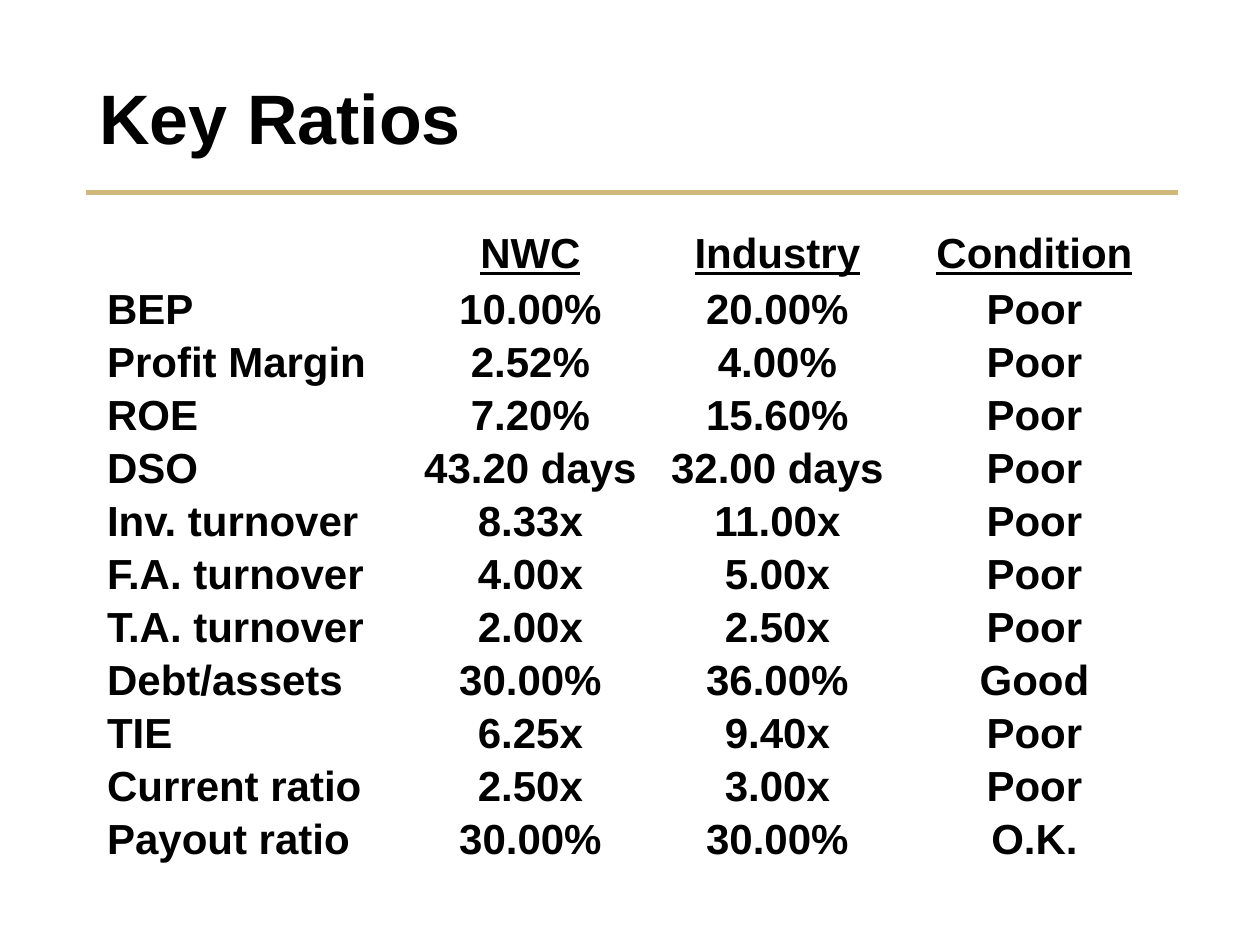
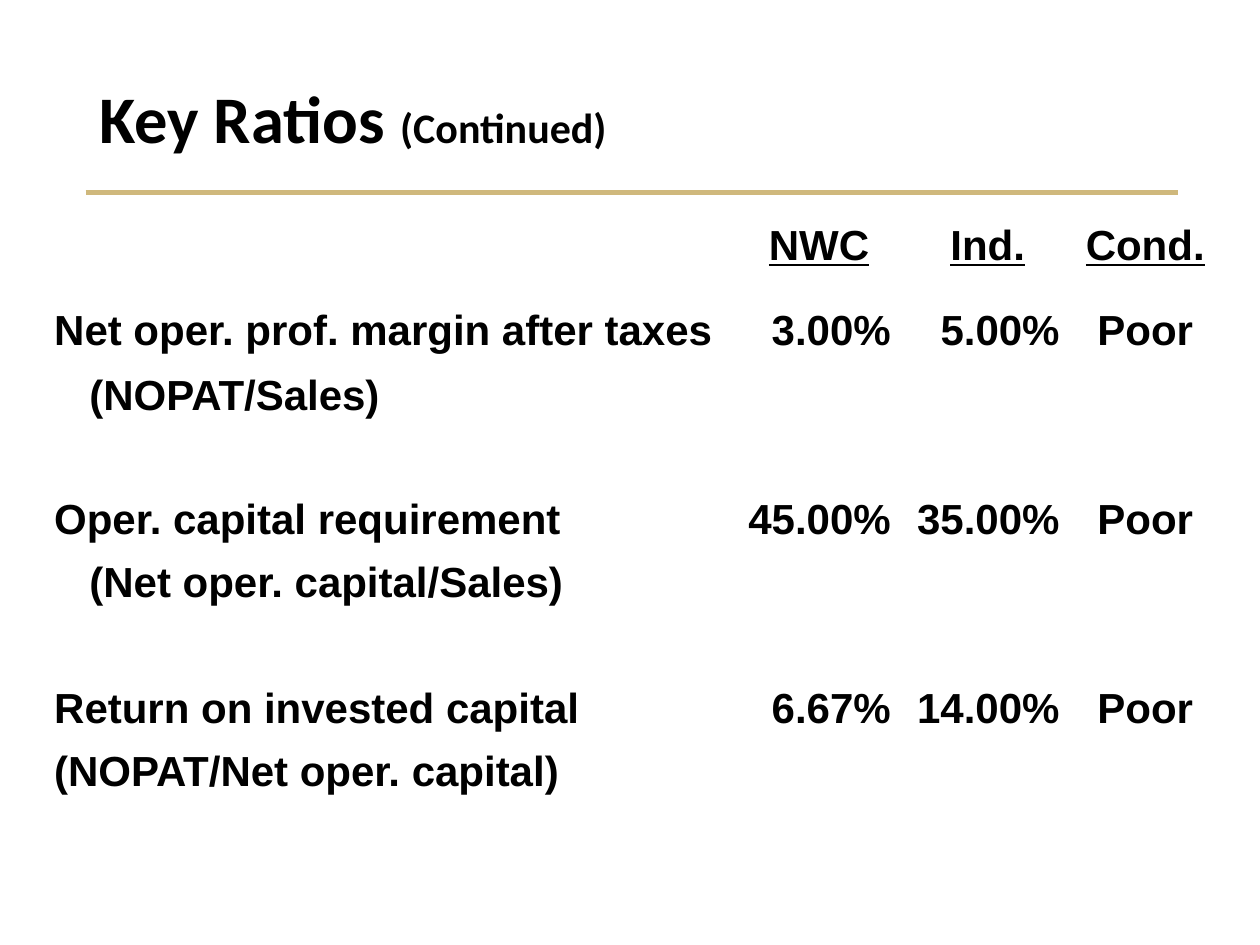
from dataclasses import dataclass

from lxml import etree
from pptx import Presentation
from pptx.dml.color import RGBColor
from pptx.enum.shapes import MSO_CONNECTOR
from pptx.enum.text import MSO_ANCHOR, PP_ALIGN
from pptx.oxml.ns import qn
from pptx.slide import Slide
from pptx.util import Inches, Pt

LEFT, CENTER, RIGHT = PP_ALIGN.LEFT, PP_ALIGN.CENTER, PP_ALIGN.RIGHT
TOP, MIDDLE = MSO_ANCHOR.TOP, MSO_ANCHOR.MIDDLE
STRAIGHT = MSO_CONNECTOR.STRAIGHT


@dataclass(frozen=True)
class Theme:
    text: RGBColor = RGBColor(0x00, 0x00, 0x00)
    rule: RGBColor = RGBColor(0xCF, 0xB8, 0x7C)
    body_font: str = "Arial"
    alt_font: str = "Calibri"
    title: int = 40
    alt_title: int = 38
    body: int = 24
    rule_width: int = 3


THEME = Theme()


@dataclass(frozen=True)
class TitleRun:
    text: str
    size: int
    font: str


@dataclass(frozen=True)
class RatioTable:
    left: float
    top: float
    col_widths: list[float]
    row_heights: list[float]
    rows: list[list[str]]
    aligns: list[PP_ALIGN]
    anchor: MSO_ANCHOR
    header_spacing: float
    body_spacing: float
    indented: tuple[int, ...] = ()


# Slide content
KEY_RATIOS = RatioTable(
    left=0.75, top=1.81,
    col_widths=[2.5, 1.92, 2, 2.08],
    row_heights=[0.47] + [0.42] * 11,
    rows=[
        ["", "NWC", "Industry", "Condition"],
        ["BEP", "10.00%", "20.00%", "Poor"],
        ["Profit Margin", "2.52%", "4.00%", "Poor"],
        ["ROE", "7.20%", "15.60%", "Poor"],
        ["DSO", "43.20 days", "32.00 days", "Poor"],
        ["Inv. turnover", "8.33x", "11.00x", "Poor"],
        ["F.A. turnover", "4.00x", "5.00x", "Poor"],
        ["T.A. turnover", "2.00x", "2.50x", "Poor"],
        ["Debt/assets", "30.00%", "36.00%", "Good"],
        ["TIE", "6.25x", "9.40x", "Poor"],
        ["Current ratio", "2.50x", "3.00x", "Poor"],
        ["Payout ratio", "30.00%", "30.00%", "O.K."],
    ],
    aligns=[LEFT, CENTER, CENTER, CENTER],
    anchor=MIDDLE, header_spacing=0.8, body_spacing=0.8,
)

OPERATING_RATIOS = RatioTable(
    left=0.33, top=1.75,
    col_widths=[5.5, 1.34, 1.34, 1.16],
    row_heights=[0.64, 0.52, 0.98, 0.5, 1, 0.5, 0.52],
    rows=[
        ["", "NWC", "Ind.", "Cond."],
        ["Net oper. prof. margin after taxes", "3.00%", "5.00%", "Poor"],
        ["(NOPAT/Sales)", "", "", ""],
        ["Oper. capital requirement", "45.00%", "35.00%", "Poor"],
        ["(Net oper. capital/Sales)", "", "", ""],
        ["Return on invested capital", "6.67%", "14.00%", "Poor"],
        ["(NOPAT/Net oper. capital)", "", "", ""],
    ],
    aligns=[LEFT, RIGHT, RIGHT, CENTER],
    anchor=TOP, header_spacing=0.9, body_spacing=1.0,
    indented=(2, 4),
)

SLIDES = [
    ([TitleRun("Key Ratios", THEME.title, THEME.body_font)], KEY_RATIOS),
    ([TitleRun("Key Ratios ", THEME.alt_title, THEME.alt_font),
      TitleRun("(Continued)", THEME.body, THEME.alt_font)], OPERATING_RATIOS),
]


def add_run(p, text: str, size: int, font: str, underline: bool = False) -> None:
    r = p.add_run()
    r.text = text
    fmt = {"name": font, "size": Pt(size), "bold": True, "underline": underline}
    for name, value in fmt.items():
        setattr(r.font, name, value)
    r.font.color.rgb = THEME.text


def add_frame(s: Slide, title: list[TitleRun]) -> None:
    """Draw the title and the gold rule below it."""
    rule = s.shapes.add_connector(
        STRAIGHT, Inches(0.68), Inches(1.53), Inches(9.35), Inches(1.53))
    rule.line.color.rgb = THEME.rule
    rule.line.width = Pt(THEME.rule_width)
    etree.SubElement(rule.element.spPr, qn("a:effectLst"))

    sp = s.shapes.add_textbox(Inches(0.69), Inches(0.4), Inches(8.62), Inches(1.13))
    tf = sp.text_frame
    tf.word_wrap = True
    tf.vertical_anchor = MIDDLE
    p = tf.paragraphs[0]
    p.line_spacing = 0.9
    for run in title:
        add_run(p, run.text, run.size, run.font)


def add_ratio_table(s: Slide, ratios: RatioTable) -> None:
    sp = s.shapes.add_table(
        len(ratios.rows), len(ratios.col_widths), Inches(ratios.left), Inches(ratios.top),
        Inches(sum(ratios.col_widths)), Inches(sum(ratios.row_heights)))
    table = sp.table
    table.first_row = table.horz_banding = False
    for col, width in zip(table.columns, ratios.col_widths):
        col.width = Inches(width)
    for row, height in zip(table.rows, ratios.row_heights):
        row.height = Inches(height)

    for i, texts in enumerate(ratios.rows):
        header = i == 0
        for j, text in enumerate(texts):
            cell = table.cell(i, j)
            cell.fill.background()
            cell.vertical_anchor = ratios.anchor
            if not text:
                continue
            p = cell.text_frame.paragraphs[0]
            p.alignment = CENTER if header else ratios.aligns[j]
            p.line_spacing = ratios.header_spacing if header else ratios.body_spacing
            if j == 0 and i in ratios.indented:
                p._p.get_or_add_pPr().set("marL", str(Inches(0.28)))
            add_run(p, text, THEME.body, THEME.body_font, underline=header)


def main() -> None:
    prs = Presentation()
    prs.slide_width, prs.slide_height = Inches(10), Inches(7.5)
    blank = prs.slide_layouts[6]
    for title, ratios in SLIDES:
        s = prs.slides.add_slide(blank)
        add_frame(s, title)
        add_ratio_table(s, ratios)
    prs.save("out.pptx")


if __name__ == "__main__":
    main()
